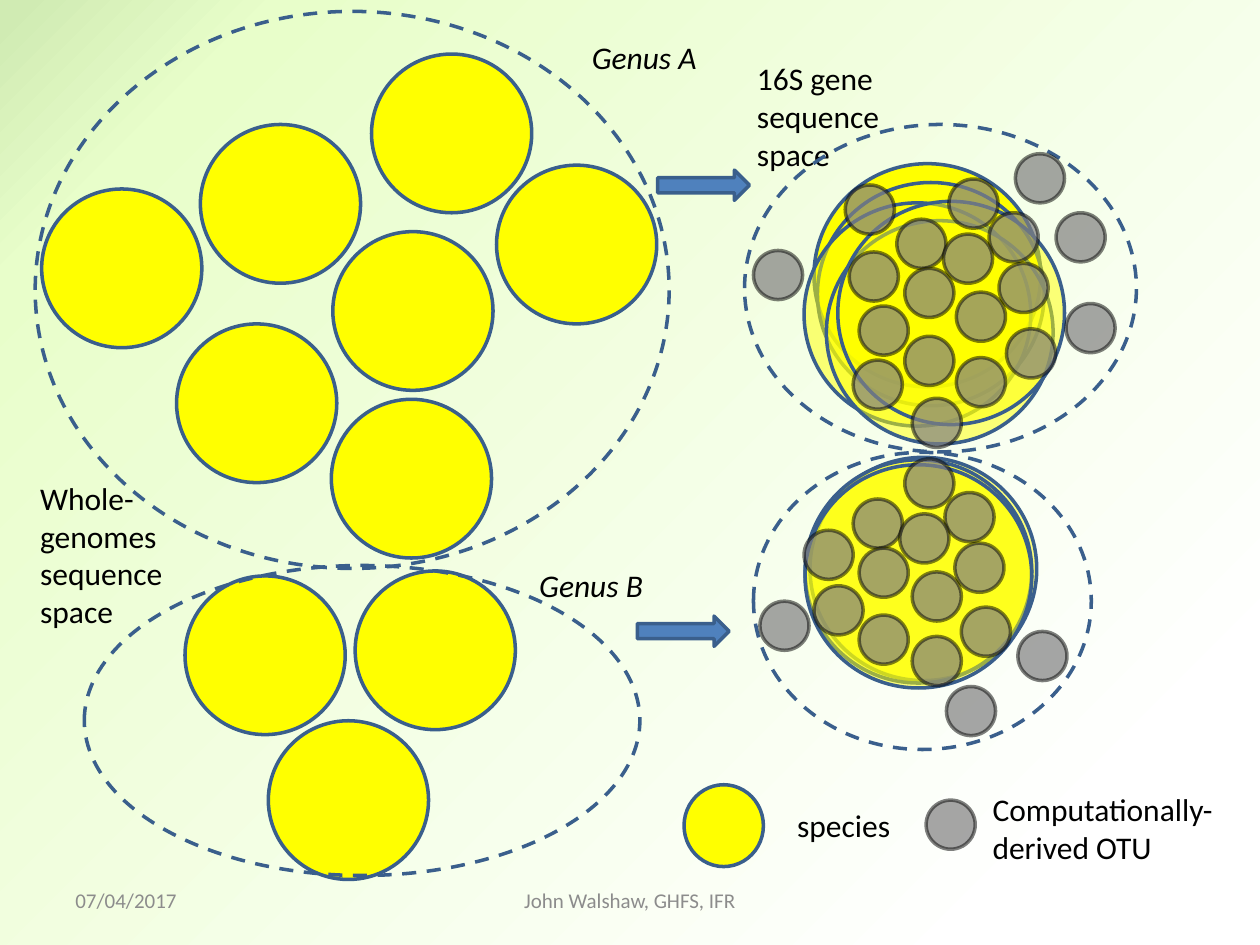
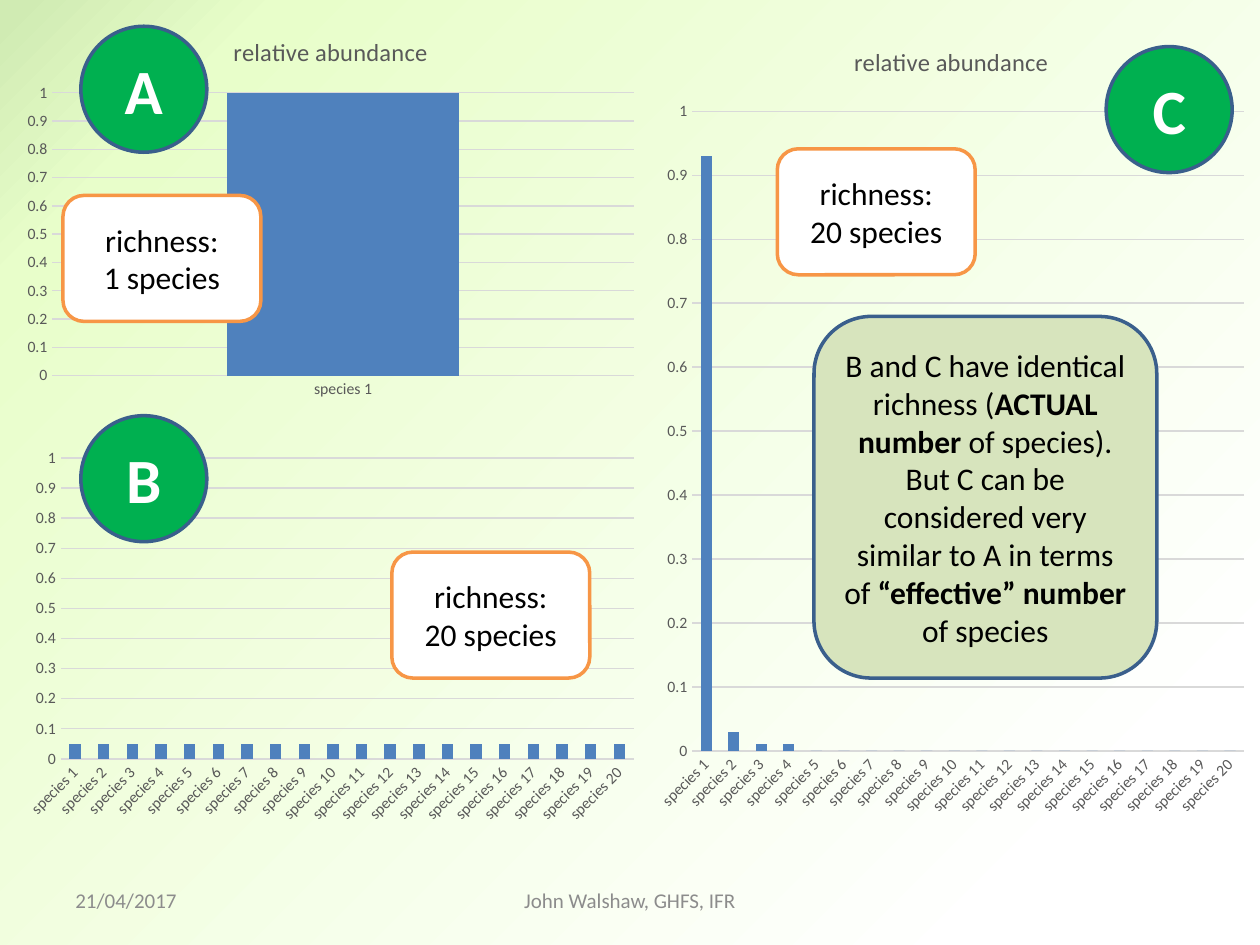
from copy import deepcopy

from lxml.etree import SubElement
from pptx import Presentation
from pptx.chart.data import CategoryChartData
from pptx.dml.color import RGBColor
from pptx.enum.chart import XL_CHART_TYPE, XL_TICK_MARK
from pptx.enum.dml import MSO_LINE
from pptx.enum.shapes import MSO_SHAPE
from pptx.enum.text import MSO_ANCHOR, PP_ALIGN
from pptx.oxml.ns import qn
from pptx.util import Cm, Pt

COLORS = {
    "yellow": "FFFF00", "outline": "3A5F8C", "blue": "4F81BD", "otu": "808080",
    "black": "000000", "white": "FFFFFF", "badge": "00B050", "orange": "F79646",
    "note": "D7E4BD", "footer": "8C8C8C", "axis": "595959", "grid": "D9D9D9",
}
BACKGROUND = [(0.01, "D0EBB3"), (0.13, "E8FECA"), (0.87, "FFFFFF")]
FONT = "Calibri"
AUTHOR = "John Walshaw, GHFS, IFR"

# Sizes (width, height) of the repeated elements, in cm
SPECIES = (3.23, 3.2)
SEQUENCE = (4.57, 4.5)
OTU = (0.99, 0.99)
ARROW = (1.85, 0.61)
BADGE = (2.54, 2.54)
RICHNESS = (3.99, 2.54)

# Left and top of the circles, in cm
GENUS_A_SPECIES = [(6.71, 4.67), (0.84, 3.81), (7.49, 1.09), (4.04, 2.51),
                   (6.68, 8.05), (3.56, 6.53), (10.01, 3.33)]
GENUS_B_SPECIES = [(7.16, 11.51), (3.73, 11.61), (5.41, 14.53)]
SEQUENCES = [(16.41, 3.3), (16.48, 3.68), (16.21, 4.09), (16.66, 4.45), (16.89, 4.06),
             (16.33, 9.22), (16.23, 9.27), (16.23, 9.37)]
GENUS_A_OTUS = [(18.08, 4.42), (20.14, 5.31), (18.24, 5.41), (19.28, 5.89),
                (19.94, 4.29), (19.13, 3.61), (19.02, 4.72), (20.29, 6.63),
                (19.28, 7.21), (18.24, 6.78), (17.12, 5.08), (17.32, 6.17),
                (18.39, 8.03), (17.2, 7.26), (17.04, 3.73)]
GENUS_B_OTUS = [(17.2, 10.06), (19.25, 10.95), (17.32, 11.05), (18.39, 11.53),
                (19.05, 9.93), (18.24, 9.25), (18.14, 10.36), (19.38, 12.24),
                (18.39, 12.83), (17.32, 12.4), (16.21, 10.69), (16.41, 11.81)]
OUTLYING_OTUS = [(21.29, 4.29), (21.49, 6.12), (20.47, 3.1), (19.08, 13.84),
                 (20.52, 12.73), (15.19, 5.05), (15.32, 12.12)]


def rgb(name):
    return RGBColor.from_string(COLORS[name])


def set_attrs(obj, values):
    for name, value in values.items():
        setattr(obj, name, value)


def set_font(font, size, color="black", **style):
    set_attrs(font, {"name": FONT, "size": Pt(size), **style})
    font.color.rgb = rgb(color)


def set_alpha(fill_parent, percent):
    color = fill_parent.find(qn("a:solidFill")).find(qn("a:srgbClr"))
    SubElement(color, qn("a:alpha")).set("val", str(percent * 1000))


def write(tf, paragraphs, size=18, color="black", align=PP_ALIGN.LEFT, **style):
    """Each paragraph is a string, or a list of (text, bold) runs."""
    for i, runs in enumerate(paragraphs):
        p = tf.paragraphs[0] if i == 0 else tf.add_paragraph()
        p.alignment = align
        if isinstance(runs, str):
            runs = [(runs, style.get("bold", False))]
        for text, bold in runs:
            r = p.add_run()
            r.text = text
            set_font(r.font, size, color, **{**style, "bold": bold})


def add_text(slide, box, text, wrap=True, anchor=MSO_ANCHOR.TOP, **style):
    tf = slide.shapes.add_textbox(*map(Cm, box)).text_frame
    set_attrs(tf, {"word_wrap": wrap, "vertical_anchor": anchor})
    write(tf, [text], **style)


def add_shape(slide, kind, box, fill=None, line="outline", alpha=None, line_alpha=None):
    sp = slide.shapes.add_shape(kind, *map(Cm, box))
    sp.shadow.inherit = False
    if fill:
        sp.fill.solid()
        sp.fill.fore_color.rgb = rgb(fill)
    else:
        sp.fill.background()
    sp.line.color.rgb = rgb(line)
    sp.line.width = Pt(2)
    if alpha:
        set_alpha(sp.element.spPr, alpha)
    if line_alpha:
        set_alpha(sp.element.spPr.find(qn("a:ln")), line_alpha)
    return sp


def add_circles(slide, places, size, **look):
    for place in places:
        add_shape(slide, MSO_SHAPE.OVAL, place + size, **look)


def add_otus(slide, places):
    add_circles(slide, places, OTU, fill="otu", line="black", alpha=70, line_alpha=50)


def add_genus_ring(slide, box):
    add_shape(slide, MSO_SHAPE.OVAL, box).line.dash_style = MSO_LINE.DASH


def add_label_shape(slide, kind, box, paragraphs, fill, line="outline", **style):
    tf = add_shape(slide, kind, box, fill, line).text_frame
    set_attrs(tf, {"word_wrap": True, "vertical_anchor": MSO_ANCHOR.MIDDLE})
    write(tf, paragraphs, align=PP_ALIGN.CENTER, **style)


def add_badge(slide, place, letter):
    add_label_shape(slide, MSO_SHAPE.OVAL, place + BADGE, [letter], "badge",
                    size=36, color="white", bold=True)


def add_richness(slide, place, count):
    add_label_shape(slide, MSO_SHAPE.ROUNDED_RECTANGLE, place + RICHNESS,
                    ["richness:", f"{count} species"], "white", "orange")


def add_abundance_chart(slide, box, values, title=None):
    data = CategoryChartData()
    data.categories = [f"species {i}" for i in range(1, len(values) + 1)]
    data.add_series(title or "Series 1", values)
    chart = slide.shapes.add_chart(
        XL_CHART_TYPE.COLUMN_STACKED, *map(Cm, box), data).chart
    set_font(chart.font, 10)
    set_attrs(chart, {"has_legend": False, "has_title": bool(title)})
    if title:
        write(chart.chart_title.text_frame, [title], size=14, color="axis",
              align=PP_ALIGN.CENTER)
        chart.chart_title.include_in_layout = False

    # Columns
    plot = chart.plots[0]
    set_attrs(plot, {"gap_width": 150, "overlap": 100, "vary_by_categories": False})
    fill = plot.series[0].format.fill
    fill.solid()
    fill.fore_color.rgb = rgb("blue")

    # Axes
    cat, val = chart.category_axis, chart.value_axis
    for axis in (cat, val):
        set_attrs(axis, {"major_tick_mark": XL_TICK_MARK.NONE,
                         "minor_tick_mark": XL_TICK_MARK.NONE})
        set_font(axis.tick_labels.font, 9, "axis")
    set_attrs(val, {"minimum_scale": 0, "maximum_scale": 1, "major_unit": 0.1,
                    "has_major_gridlines": True})
    set_attrs(val.tick_labels, {"number_format": "General",
                                "number_format_is_linked": False})
    val.format.line.fill.background()
    for line in (cat.format.line, val.major_gridlines.format.line):
        line.color.rgb = rgb("grid")
        line.width = Pt(0.75)
    if len(values) > 1:
        body = cat._element.find(qn("c:txPr")).find(qn("a:bodyPr"))
        set_attrs_xml = {"rot": "-2700000", "vert": "horz"}
        for name, value in set_attrs_xml.items():
            body.set(name, value)


def add_slide(prs, date):
    slide = prs.slides.add_slide(prs.slide_layouts[6])
    # Diagonal three-stop background
    fill = slide.background.fill
    fill.gradient()
    fill.gradient_angle = 315
    stops = next(slide.element.iter(qn("a:gsLst")))
    stops.append(deepcopy(stops[0]))
    for stop, (position, color) in zip(fill.gradient_stops, BACKGROUND):
        stop.position = position
        stop.color.rgb = RGBColor.from_string(color)
    # Footer
    footer = {"size": 12, "color": "footer", "anchor": MSO_ANCHOR.MIDDLE}
    add_text(slide, (1.27, 17.65, 5.93, 1.01), date, **footer)
    add_text(slide, (8.68, 17.65, 8.04, 1.01), AUTHOR, align=PP_ALIGN.CENTER, **footer)
    return slide


def build_sequence_spaces(prs):
    slide = add_slide(prs, "07/04/2017")

    # Whole-genome space
    add_circles(slide, GENUS_A_SPECIES, SPECIES, fill="yellow")
    add_genus_ring(slide, (0.71, 0.23, 12.78, 11.23))
    add_circles(slide, GENUS_B_SPECIES, SPECIES, fill="yellow")
    add_genus_ring(slide, (1.7, 11.4, 11.2, 6.25))

    # Arrows and labels
    for place in [(13.26, 3.43), (12.85, 12.42)]:
        add_shape(slide, MSO_SHAPE.RIGHT_ARROW, place + ARROW, "blue")
    add_text(slide, (0.56, 9.53, 3.4, 3.33), "Whole-genomes sequence space")
    add_text(slide, (15.01, 1.07, 3.4, 2.57), "16S gene sequence space")
    add_text(slide, (11.68, 0.64, 2.69, 1.02), "Genus A", wrap=False, italic=True)
    add_text(slide, (10.62, 11.28, 2.62, 1.02), "Genus B", wrap=False, italic=True)

    # Legend
    add_circles(slide, [(13.79, 15.82)], (1.6, 1.65), fill="yellow")
    add_text(slide, (15.82, 16.13, 2.41, 1.02), "species", wrap=False)
    add_otus(slide, [(18.67, 16.13)])
    add_text(slide, (19.76, 15.8, 4.98, 1.8), "Computationally-derived OTU")

    # 16S space: the first disc is opaque, the rest overlap it
    add_circles(slide, SEQUENCES[:1], SEQUENCE, fill="yellow")
    add_circles(slide, SEQUENCES[1:], SEQUENCE, fill="yellow", alpha=50)
    add_genus_ring(slide, (15.01, 2.51, 7.9, 6.6))
    add_genus_ring(slide, (15.19, 9.12, 6.81, 5.99))
    add_otus(slide, GENUS_A_OTUS + GENUS_B_OTUS + OUTLYING_OTUS)


def build_richness(prs):
    slide = add_slide(prs, "21/04/2017")

    # Charts
    skewed = [0.93, 0.03, 0.01, 0.01] + [0] * 16
    add_abundance_chart(slide, (13.03, 0.36, 12.29, 16.41), skewed, "relative abundance")
    add_abundance_chart(slide, (0.3, 8.89, 12.73, 7.87), [0.05] * 20)
    add_abundance_chart(slide, (0.3, 0.33, 12.73, 7.87), [1], "relative abundance")

    # Badges and richness boxes
    for letter, place in [("A", (1.63, 0.53)), ("B", (1.63, 8.38)), ("C", (22.3, 0.94))]:
        add_badge(slide, place, letter)
    for count, place in [(1, (1.27, 3.94)), (20, (7.9, 11.13)), (20, (15.67, 3.0))]:
        add_richness(slide, place, count)

    # Conclusion
    add_label_shape(
        slide, MSO_SHAPE.ROUNDED_RECTANGLE, (16.41, 6.38, 6.91, 7.29),
        [[("B and C have identical richness (", False), ("ACTUAL number", True),
          (" of species).", False)],
         [("But C can be considered very similar to A in terms of ", False),
          ("“effective” number ", True), ("of species", False)]],
        "note")


def main():
    prs = Presentation()
    set_attrs(prs, {"slide_width": Cm(25.4), "slide_height": Cm(19.05)})
    build_sequence_spaces(prs)
    build_richness(prs)
    prs.save("out.pptx")


if __name__ == "__main__":
    main()
